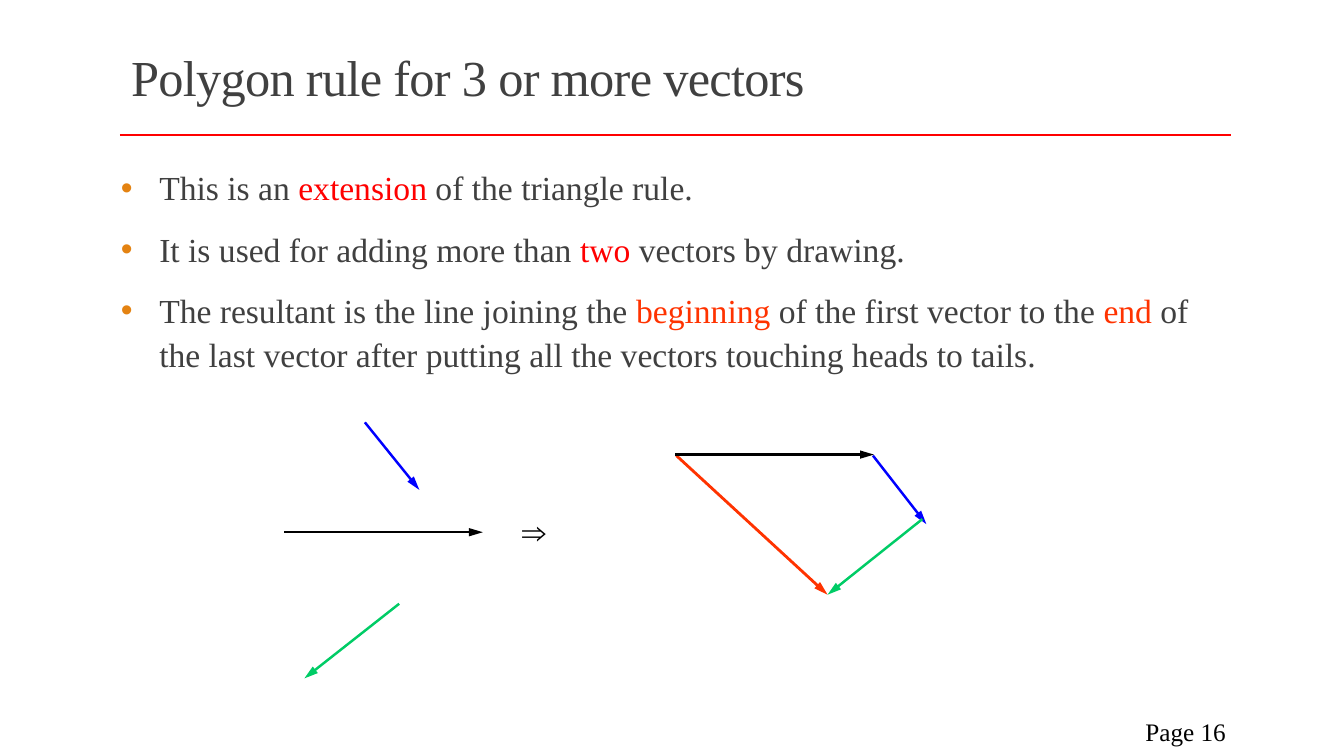
from dataclasses import dataclass

import pptx
import pptx.dml.color
import pptx.enum.dml
import pptx.enum.shapes
import pptx.enum.text
import pptx.oxml.ns
import pptx.oxml.xmlchemy
import pptx.presentation
import pptx.shapes.base
import pptx.slide
import pptx.text.text
import pptx.util
from lxml import etree

RGBColor = pptx.dml.color.RGBColor
BLACK = RGBColor(0x00, 0x00, 0x00)
GRAY = RGBColor(0x40, 0x40, 0x40)
RED = RGBColor(0xFF, 0x00, 0x00)
ORANGE_RED = RGBColor(0xFF, 0x33, 0x00)
BLUE = RGBColor(0x00, 0x00, 0xFF)
GREEN = RGBColor(0x00, 0xCC, 0x66)
BULLET_ORANGE = RGBColor(0xE4, 0x83, 0x12)

FONT = "Times New Roman"
COLUMN = ROW = pptx.util.Inches(0.1)
COLUMNS, ROWS = 133.33, 75


@dataclass(frozen=True)
class Box:
    left: float
    top: float
    width: float
    height: float


@dataclass(frozen=True)
class Line:
    start: tuple[float, float]
    end: tuple[float, float]
    color: RGBColor
    weight: float = 1.75
    arrow: bool = True


@dataclass(frozen=True)
class Words:
    text: str
    color: RGBColor = GRAY


LINES = [
    Line((11.9, 13.4), (122.1, 13.4), RED, 2, arrow=False),
    Line((28.2, 52.8), (47.9, 52.8), BLACK),
    Line((36.2, 41.9), (41.6, 48.6), BLUE),
    Line((67.1, 45.2), (82.1, 59), ORANGE_RED, 2),
    Line((39.6, 59.9), (30.2, 67.3), GREEN),
    Line((67, 45.1), (86.7, 45.1), BLACK),
    Line((86.6, 45.2), (91.9, 52), BLUE),
    Line((91.5, 51.5), (82.1, 59), GREEN),
]

BULLETS = [
    [Words("This is an "), Words("extension", RED), Words(" of the triangle rule.")],
    [
        Words("It is used for adding more than "),
        Words("two", RED),
        Words(" vectors by drawing."),
    ],
    [
        Words("The resultant is the line joining the "),
        Words("beginning", ORANGE_RED),
        Words(" of the first vector to the "),
        Words("end", ORANGE_RED),
        Words(" of the last vector after putting all the vectors touching heads to tails."),
    ],
]


def across(columns: float) -> pptx.util.Emu:
    return pptx.util.Emu(round(columns * COLUMN))


def down(rows: float) -> pptx.util.Emu:
    return pptx.util.Emu(round(rows * ROW))


def place(shape: pptx.shapes.base.BaseShape, box: Box) -> None:
    shape.left, shape.top = across(box.left), down(box.top)
    shape.width, shape.height = across(box.width), down(box.height)


def add_words(
    paragraph: pptx.text.text._Paragraph, words: Words, size: float
) -> pptx.text.text._Run:
    run = paragraph.add_run()
    run.text = words.text
    run.font.name = FONT
    run.font.size = pptx.util.Pt(size)
    run.font.color.rgb = words.color
    return run


def add_line(slide: pptx.slide.Slide, line: Line) -> None:
    connector = slide.shapes.add_connector(
        pptx.enum.shapes.MSO_CONNECTOR.STRAIGHT,
        across(line.start[0]), down(line.start[1]),
        across(line.end[0]), down(line.end[1]),
    )
    connector.line.color.rgb = line.color
    connector.line.width = pptx.util.Pt(line.weight)
    if line.arrow:
        etree.SubElement(
            connector.line._get_or_add_ln(), pptx.oxml.ns.qn("a:tailEnd"),
            type="triangle", w="med", len="lg",
        )
    etree.SubElement(connector._element.spPr, pptx.oxml.ns.qn("a:effectLst"))


def add_label(
    slide: pptx.slide.Slide, box: Box, words: Words, size: float,
    alignment: pptx.enum.text.PP_ALIGN, anchor: pptx.enum.text.MSO_ANCHOR,
) -> None:
    shape = slide.shapes.add_textbox(0, 0, 0, 0)
    place(shape, box)
    shape.text_frame.word_wrap = True
    shape.text_frame.vertical_anchor = anchor
    paragraph = shape.text_frame.paragraphs[0]
    paragraph.alignment = alignment
    add_words(paragraph, words, size)


def add_bullet(paragraph: pptx.text.text._Paragraph, first: bool) -> None:
    paragraph.line_spacing = 1.1
    paragraph.space_before = pptx.util.Pt(0 if first else 6)
    paragraph.space_after = pptx.util.Pt(6)
    properties = paragraph._p.get_or_add_pPr()
    properties.set("marL", str(across(3.8)))
    properties.set("indent", str(across(-3.8)))
    color = etree.SubElement(properties, pptx.oxml.ns.qn("a:buClr"))
    etree.SubElement(color, pptx.oxml.ns.qn("a:srgbClr"), val=str(BULLET_ORANGE))
    etree.SubElement(properties, pptx.oxml.ns.qn("a:buFont"), typeface="Arial")
    etree.SubElement(properties, pptx.oxml.ns.qn("a:buChar"), char="•")


def fill_title(slide: pptx.slide.Slide) -> None:
    title = slide.shapes.title
    place(title, Box(12, 3.1, 110, 9.8))
    title.text_frame.vertical_anchor = pptx.enum.text.MSO_ANCHOR.MIDDLE
    paragraph = title.text_frame.paragraphs[0]
    paragraph.alignment = pptx.enum.text.PP_ALIGN.LEFT
    paragraph.line_spacing = 0.85
    run = add_words(paragraph, Words("Polygon rule for 3 or more vectors"), 36)
    run.font._element.set("spc", "-50")


def fill_body(slide: pptx.slide.Slide) -> None:
    body = slide.placeholders[1]
    place(body, Box(12, 15.7, 110.2, 51.2))
    frame = body.text_frame
    frame.auto_size = pptx.enum.text.MSO_AUTO_SIZE.NONE
    frame.margin_left = frame.margin_right = 0
    for index, bullet in enumerate(BULLETS):
        paragraph = frame.add_paragraph() if index else frame.paragraphs[0]
        add_bullet(paragraph, first=index == 0)
        for words in bullet:
            add_words(paragraph, words, 24)


def main() -> None:
    """Build the slide on the polygon rule and save it."""
    presentation = pptx.Presentation()
    presentation.slide_width, presentation.slide_height = across(COLUMNS), down(ROWS)
    slide = presentation.slides.add_slide(presentation.slide_layouts[1])
    fill_title(slide)
    fill_body(slide)
    for line in LINES:
        add_line(slide, line)
    alignments, anchors = pptx.enum.text.PP_ALIGN, pptx.enum.text.MSO_ANCHOR
    add_label(slide, Box(50.8, 50.2, 5.8, 6.4), Words("⇒", BLACK), 24,
              alignments.LEFT, anchors.TOP)
    add_label(slide, Box(108.3, 70.6, 14.3, 4), Words("Page 16", BLACK), 18,
              alignments.RIGHT, anchors.MIDDLE)
    presentation.save("out.pptx")


if __name__ == "__main__":
    main()
